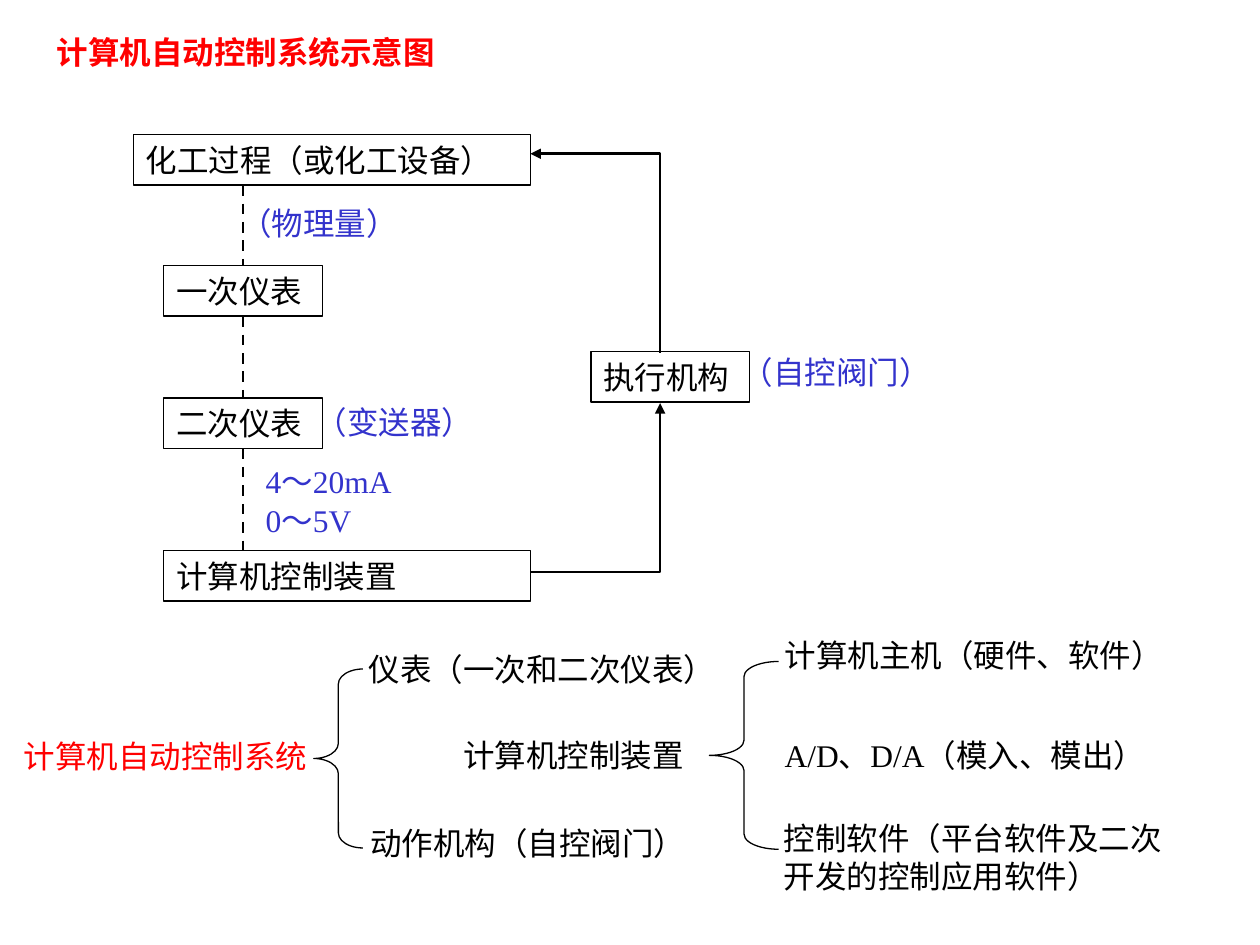
from typing import NamedTuple

from lxml.etree import SubElement
from pptx import Presentation
from pptx.dml.color import RGBColor
from pptx.enum.dml import MSO_LINE
from pptx.enum.shapes import MSO_CONNECTOR, MSO_SHAPE
from pptx.enum.text import MSO_ANCHOR, MSO_AUTO_SIZE, PP_ALIGN
from pptx.oxml.ns import qn
from pptx.util import Inches, Pt

COLORS = {"black": "000000", "red": "FF0000", "blue": "3333CC"}
FONT = "Times New Roman"
BOX_HEIGHT = 0.4
SIGNAL_X = 1.93
TOP, BOTTOM = 0, 2


class Label(NamedTuple):
    text: str
    left: float
    top: float
    width: float
    height: float = BOX_HEIGHT
    color: str = "black"
    bold: bool = False
    line_spacing: float = 1.0


class Box(NamedTuple):
    text: str
    left: float
    top: float
    width: float


class Brace(NamedTuple):
    left: float
    top: float
    width: float
    height: float
    curve: float


LABELS = [
    Label("计算机自动控制系统示意图", 0.35, 0.21, 4.25, color="red", bold=True),
    Label("（物理量）", 1.81, 1.57, 1.54, color="blue"),
    Label("（变送器）", 2.41, 3.15, 1.57, color="blue"),
    Label("4～20mA\n0～5V", 2.01, 3.75, 1.34, 0.56, "blue", line_spacing=0.5),
    Label("（自控阀门）", 5.79, 2.75, 1.97, color="blue"),
    Label("计算机自动控制系统", 0.09, 5.8, 2.68, color="red"),
    Label("仪表（一次和二次仪表）", 2.83, 5.11, 3.11),
    Label("计算机控制装置", 3.58, 5.79, 2.08),
    Label("动作机构（自控阀门）", 2.84, 6.49, 2.84),
    Label("计算机主机（硬件、软件）", 6.13, 5, 3.44),
    Label("A/D、D/A（模入、模出）", 6.13, 5.79, 3.2, 0.7),
    Label("控制软件（平台软件及二次开发的控制应用软件）", 6.12, 6.45, 3.29, 0.7),
]
PROCESS = Box("化工过程（或化工设备）", 1.06, 1.07, 3.15)
PRIMARY = Box("一次仪表", 1.3, 2.11, 1.26)
SECONDARY = Box("二次仪表", 1.3, 3.16, 1.26)
CONTROLLER = Box("计算机控制装置", 1.3, 4.37, 2.91)
ACTUATOR = Box("执行机构", 4.69, 2.79, 1.26)
BRACES = [Brace(2.49, 5.31, 0.39, 1.42, 0.12), Brace(5.63, 5.25, 0.55, 1.49, 0.12)]
ARROWS = [
    [(4.21, 4.54), (5.24, 4.54), (5.24, 3.2)],
    [(5.24, 2.8), (5.24, 1.22), (4.21, 1.22)],
]


def rgb(name: str) -> RGBColor:
    """Look up a colour by name."""
    return RGBColor.from_string(COLORS[name])


def write_text(shape, text: str, color: str = "black", bold: bool = False,
               line_spacing: float = 1.0) -> None:
    """Fill a shape with left-aligned text."""
    frame = shape.text_frame
    frame.text = text
    frame.word_wrap = True
    frame.auto_size = MSO_AUTO_SIZE.SHAPE_TO_FIT_TEXT
    frame.vertical_anchor = MSO_ANCHOR.TOP
    for index, paragraph in enumerate(frame.paragraphs):
        paragraph.alignment = PP_ALIGN.LEFT
        paragraph.line_spacing = line_spacing
        paragraph.space_before = Pt(11.2 if index else 0)
        for run in paragraph.runs:
            run.font.name = FONT
            run.font.size = Pt(18)
            run.font.bold = bold
            run.font.color.rgb = rgb(color)


def outline(shape, width: float) -> None:
    """Give a shape a plain black outline without fill or shadow."""
    shape.shadow.inherit = False
    shape.fill.background()
    shape.line.color.rgb = rgb("black")
    shape.line.width = Pt(width)


def draw_label(slide, label: Label) -> None:
    """Draw a text label."""
    shape = slide.shapes.add_textbox(Inches(label.left), Inches(label.top),
                                     Inches(label.width), Inches(label.height))
    write_text(shape, label.text, label.color, label.bold, label.line_spacing)


def draw_box(slide, box: Box):
    """Draw an outlined block and return its shape."""
    shape = slide.shapes.add_shape(MSO_SHAPE.RECTANGLE, Inches(box.left), Inches(box.top),
                                   Inches(box.width), Inches(BOX_HEIGHT))
    outline(shape, 0.75)
    write_text(shape, box.text)
    return shape


def draw_signal(slide, start: float, end: float, source=None, target=None) -> None:
    """Draw a dashed vertical signal line, joined to the given blocks."""
    connector = slide.shapes.add_connector(MSO_CONNECTOR.STRAIGHT, Inches(SIGNAL_X), Inches(start),
                                           Inches(SIGNAL_X), Inches(end))
    if source is not None:
        connector.begin_connect(source, BOTTOM)
    if target is not None:
        connector.end_connect(target, TOP)
    connector.line.color.rgb = rgb("black")
    connector.line.width = Pt(1.5)
    connector.line.dash_style = MSO_LINE.DASH
    SubElement(connector._element.spPr, qn("a:effectLst"))


def draw_arrow(slide, points: list[tuple[float, float]]) -> None:
    """Draw an angled line with an arrowhead at its end."""
    start, *corners = [(Inches(x), Inches(y)) for x, y in points]
    builder = slide.shapes.build_freeform(*start)
    builder.add_line_segments(corners, close=False)
    shape = builder.convert_to_shape()
    outline(shape, 1.5)
    SubElement(shape.line._get_or_add_ln(), qn("a:tailEnd"), type="triangle")


def draw_brace(slide, brace: Brace) -> None:
    """Draw a left brace."""
    shape = slide.shapes.add_shape(MSO_SHAPE.LEFT_BRACE, Inches(brace.left), Inches(brace.top),
                                   Inches(brace.width), Inches(brace.height))
    shape.adjustments[0] = brace.curve / brace.width
    outline(shape, 0.75)


def main() -> None:
    """Build the control system slide."""
    presentation = Presentation()
    presentation.slide_width = Inches(10)
    presentation.slide_height = Inches(7.5)
    slide = presentation.slides.add_slide(presentation.slide_layouts[6])

    draw_box(slide, PROCESS)
    primary = draw_box(slide, PRIMARY)
    secondary = draw_box(slide, SECONDARY)
    draw_box(slide, CONTROLLER)
    draw_box(slide, ACTUATOR)

    draw_signal(slide, PROCESS.top + BOX_HEIGHT, PRIMARY.top, target=primary)
    draw_signal(slide, PRIMARY.top + BOX_HEIGHT, SECONDARY.top, primary, secondary)
    draw_signal(slide, SECONDARY.top + BOX_HEIGHT, CONTROLLER.top, source=secondary)

    for points in ARROWS:
        draw_arrow(slide, points)
    for brace in BRACES:
        draw_brace(slide, brace)
    for label in LABELS:
        draw_label(slide, label)

    presentation.save("out.pptx")


if __name__ == "__main__":
    main()
